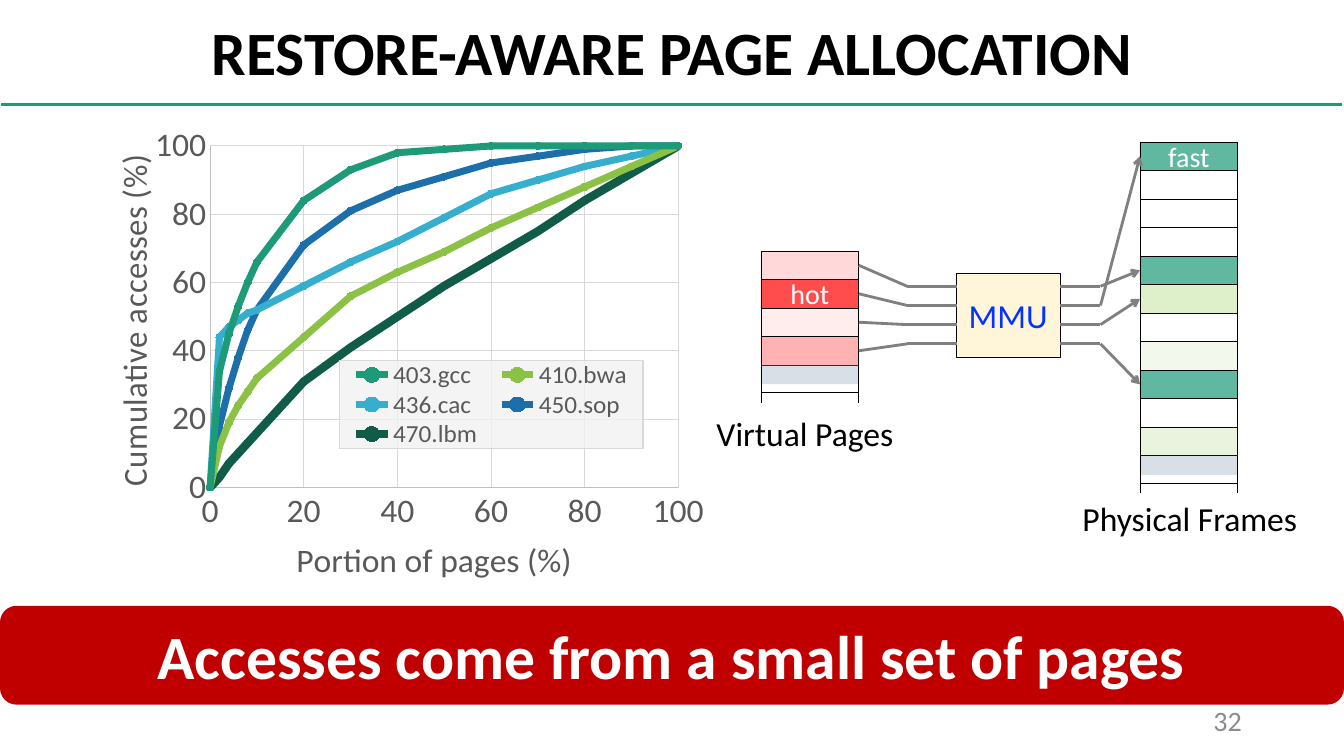
from pptx import Presentation
from pptx.chart.data import XyChartData
from pptx.dml.color import RGBColor
from pptx.enum.chart import (XL_CHART_TYPE, XL_LEGEND_POSITION as LEGEND,
                             XL_MARKER_STYLE as MARKER, XL_TICK_MARK as TICK)
from pptx.enum.shapes import MSO_CONNECTOR, MSO_SHAPE
from pptx.enum.text import MSO_ANCHOR as ANCHOR, PP_ALIGN as ALIGN
from pptx.oxml import parse_xml
from pptx.oxml.ns import nsdecls, qn
from pptx.oxml.xmlchemy import OxmlElement
from pptx.util import Pt

FONT = "Calibri"
BLACK = RGBColor(0, 0, 0)
WHITE = RGBColor(255, 255, 255)
RED = RGBColor(255, 0, 0)
BANNER = RGBColor(0xC0, 0, 0)
GREEN = RGBColor(0x1D, 0x9A, 0x78)
LIME = RGBColor(0x92, 0xD0, 0x50)
PALE = RGBColor(0xE8, 0xF3, 0xDA)
MOSS = RGBColor(0xB9, 0xDA, 0x8F)
SLATE = RGBColor(0x84, 0x97, 0xB0)
AMBER = RGBColor(0xFF, 0xC0, 0)
BLUE = RGBColor(0x04, 0x32, 0xFF)
WIRE = RGBColor(0x80, 0x80, 0x80)
NUMBER = RGBColor(0x8C, 0x8C, 0x8C)
LABEL = RGBColor(0x59, 0x59, 0x59)
AXIS = RGBColor(0xBF, 0xBF, 0xBF)
GRID = RGBColor(0xD9, 0xD9, 0xD9)

ROW = 20.36  # height of one page or frame
COLUMN = 69.84  # width of a memory column
PAGES = [(RED, 15, ""), (RED, 70, "hot"), (RED, 7, ""), (RED, 30, "")]
FRAMES = [(GREEN, 70, "fast"), (WHITE, 30, ""), (WHITE, 30, ""), (WHITE, 50, ""),
          (GREEN, 70, ""), (LIME, 30, ""), (WHITE, 30, ""), (PALE, 50, ""),
          (GREEN, 70, ""), (WHITE, 30, ""), (MOSS, 30, "")]
PAGE_TO_FRAME = [4, 0, 5, 8]

PORTIONS = [0, 2, 4, 6, 8, *range(10, 101, 10)]
SERIES = [
    ("403.gcc", GREEN, 5, [0, 34, 45, 53, 60, 66, 84, 93, 98, 99, 100, 100, 100, 100, 100]),
    ("410.bwa", RGBColor(0x8B, 0xC1, 0x45), 5,
     [0, 12, 19, 24, 28, 32, 44, 56, 63, 69, 76, 82, 88, 94, 100]),
    ("436.cac", RGBColor(0x36, 0xAF, 0xCE), 5,
     [0, 44, 47, 49, 51, 52, 59, 66, 72, 79, 86, 90, 94, 97, 100]),
    ("450.sop", RGBColor(0x1D, 0x6F, 0xA9), 5,
     [0, 18, 29, 38, 46, 52, 71, 81, 87, 91, 95, 97, 99, 100, 100]),
    ("470.lbm", RGBColor(0x11, 0x5C, 0x48), 6,
     [0, 3, 7, 10, 13, 16, 31, 41, 50, 59, 67, 75, 84, 92, 100]),
]


def set_font(font, size, color, bold=False):
    font.name, font.size, font.bold = FONT, Pt(size), bold
    font.color.rgb = color


def write(sp, text, size=24, color=BLACK, bold=False, align=ALIGN.CENTER,
          anchor=ANCHOR.MIDDLE, wrap=True, spacing=None):
    tf = sp.text_frame
    tf.word_wrap, tf.vertical_anchor = wrap, anchor
    p = tf.paragraphs[0]
    p.alignment, p.line_spacing = align, spacing
    r = p.add_run()
    r.text = text
    set_font(r.font, size, color, bold)


def add_text(s, x, y, w, h, text, **fmt):
    write(s.shapes.add_textbox(Pt(x), Pt(y), Pt(w), Pt(h)), text, **fmt)


def add_box(s, x, y, w, h, fill, opacity=100, outlined=True, kind=MSO_SHAPE.RECTANGLE):
    sp = s.shapes.add_shape(kind, Pt(x), Pt(y), Pt(w), Pt(h))
    sp.shadow.inherit = False
    sp.fill.solid()
    sp.fill.fore_color.rgb = fill
    if opacity < 100:
        alpha = OxmlElement("a:alpha")
        alpha.set("val", str(opacity * 1000))
        sp._element.spPr.find(qn("a:solidFill"))[0].append(alpha)
    if outlined:
        sp.line.color.rgb, sp.line.width = BLACK, Pt(0.5)
    else:
        sp.line.fill.background()
    return sp


def add_line(s, x1, y1, x2, y2, color=WIRE, width=2, arrow=False):
    line = s.shapes.add_connector(MSO_CONNECTOR.STRAIGHT, Pt(x1), Pt(y1), Pt(x2), Pt(y2))
    line.line.color.rgb, line.line.width = color, Pt(width)
    if arrow:
        end = OxmlElement("a:tailEnd")
        end.set("type", "arrow")
        line.line._get_or_add_ln().append(end)
    line._element.spPr.append(OxmlElement("a:effectLst"))


def set_layout(element, index, x, y, w=None, h=None, inner=False):
    """Place a chart part by fractions of the chart's box."""
    old = element.find(qn("c:layout"))
    if old is not None:
        element.remove(old)
    parts = [("layoutTarget", "inner")] if inner else []
    parts += [("xMode", "edge"), ("yMode", "edge"), ("x", x), ("y", y)]
    parts += [("w", w), ("h", h)] if w else []
    body = "".join(f'<c:{tag} val="{val}"/>' for tag, val in parts)
    element.insert(index, parse_xml(
        f'<c:layout {nsdecls("c")}><c:manualLayout>{body}</c:manualLayout></c:layout>'))


def style_axis(axis, title, x, y):
    axis.minimum_scale, axis.maximum_scale, axis.major_unit = 0, 100, 20
    axis.major_tick_mark = axis.minor_tick_mark = TICK.NONE
    axis.has_major_gridlines = True
    for line, color in ((axis.format.line, AXIS), (axis.major_gridlines.format.line, GRID)):
        line.color.rgb, line.width = color, Pt(0.75)
    set_font(axis.tick_labels.font, 24, LABEL)
    axis.tick_labels.number_format = "General"
    axis.tick_labels.number_format_is_linked = False
    tf = axis.axis_title.text_frame
    tf.text = title
    set_font(tf.paragraphs[0].runs[0].font, 24, LABEL)
    set_layout(axis.axis_title._element, 1, x, y)


def style_legend(chart):
    chart.has_legend = True
    legend = chart.legend
    legend.position, legend.include_in_layout = LEGEND.BOTTOM, False
    set_font(legend.font, 18, LABEL)
    set_layout(legend._element, 1, 0.257, 0.511, 0.318, 0.195)
    legend._element.find(qn("c:overlay")).addnext(parse_xml(
        f'<c:spPr {nsdecls("c", "a")}><a:solidFill><a:srgbClr val="F2F2F2">'
        '<a:alpha val="78000"/></a:srgbClr></a:solidFill><a:ln w="9525"><a:solidFill>'
        '<a:srgbClr val="D9D9D9"/></a:solidFill></a:ln></c:spPr>'))


def add_access_chart(s, x, y, w, h):
    data = XyChartData()
    for name, _, _, accesses in SERIES:
        series = data.add_series(name)
        for point in zip(PORTIONS, accesses):
            series.add_data_point(*point)
    chart = s.shapes.add_chart(XL_CHART_TYPE.XY_SCATTER_SMOOTH,
                               Pt(x), Pt(y), Pt(w), Pt(h), data).chart
    chart.has_title = False
    set_font(chart.font, 24, BLACK)
    chart.plots[0].vary_by_categories = False
    for series, (_, color, width, _) in zip(chart.plots[0].series, SERIES):
        series.smooth = True
        series.format.line.color.rgb, series.format.line.width = color, Pt(width)
        marker = series.marker
        marker.style, marker.size = MARKER.CIRCLE, 5
        marker.format.fill.solid()
        marker.format.fill.fore_color.rgb = marker.format.line.color.rgb = color
    style_axis(chart.category_axis, "Portion of pages (%)", 0.205, 0.89)
    style_axis(chart.value_axis, "Cumulative accesses (%)", 0.011, 0.064)
    style_legend(chart)
    set_layout(chart._chartSpace.chart.plotArea, 0, 0.121, 0.039, 0.491, 0.753, inner=True)


def add_memory_column(s, x, y, cells):
    """Stack the cells and leave the column open at its foot."""
    for i, (fill, opacity, text) in enumerate(cells):
        sp = add_box(s, x, y + i * ROW, COLUMN, ROW, fill, opacity)
        if text:
            write(sp, text, size=20, color=WHITE)
    foot = y + len(cells) * ROW
    add_box(s, x, foot, COLUMN, 13.7, SLATE, 30, outlined=False)
    for side in (x, x + COLUMN):
        add_line(s, side, foot, side, foot + 27, BLACK, 0.5)
    add_line(s, x, foot + 19.8, x + COLUMN, foot + 19.8, BLACK, 0.5)


def add_mapping(s, x, y):
    """Draw pages, MMU and frames; x, y is the top left of the page column."""
    frames_x, frames_y = x + 270.7, y - 77.8
    mmu_x, mmu_w = x + 139.7, 73.8
    add_memory_column(s, x, y, PAGES)
    add_memory_column(s, frames_x, frames_y, FRAMES)
    write(add_box(s, mmu_x, y + 15.8, mmu_w, 60.5, AMBER, 15), "MMU", color=BLUE)
    for i, frame in enumerate(PAGE_TO_FRAME):
        wire_y = y + 25.2 + i * 13.7
        bend_in, bend_out = mmu_x - 35.3, mmu_x + mmu_w + 29
        add_line(s, x + COLUMN, y + (i + 0.5) * ROW, bend_in, wire_y)
        add_line(s, bend_in, wire_y, mmu_x, wire_y)
        add_line(s, mmu_x + mmu_w, wire_y, bend_out, wire_y)
        add_line(s, bend_out, wire_y, frames_x, frames_y + (frame + 0.5) * ROW, arrow=True)
    label = dict(align=ALIGN.LEFT, anchor=ANCHOR.TOP, wrap=False)
    add_text(s, x - 38.9, y + 112.3, 141.8, 36, "Virtual Pages", **label)
    add_text(s, x + 222.5, y + 172.8, 169.2, 36, "Physical Frames", **label)


def add_frame(s, w):
    """Add the title, its rule, the closing banner and the slide number."""
    add_line(s, 0.7, 74.9, w - 1.7, 74.9, GREEN, 2)
    add_text(s, 66.2, 5, 828, 69.1, "RESTORE-AWARE PAGE ALLOCATION",
             size=44, bold=True, spacing=0.9)
    add_text(s, 678.2, 500.4, 216, 28.8, "32", size=20, color=NUMBER, align=ALIGN.RIGHT)
    banner = add_box(s, 0, 432.7, w, 70.6, BANNER, outlined=False,
                     kind=MSO_SHAPE.ROUNDED_RECTANGLE)
    write(banner, "Accesses come from a small set of pages", size=44, color=WHITE, bold=True)


def main():
    prs = Presentation()
    prs.slide_width, prs.slide_height = Pt(960), Pt(540)
    s = prs.slides.add_slide(prs.slide_layouts[6])
    add_frame(s, 960)
    add_mapping(s, 543.6, 179.3)
    add_access_chart(s, 67.7, 90, 681.1, 332.6)
    prs.save("out.pptx")


if __name__ == "__main__":
    main()
